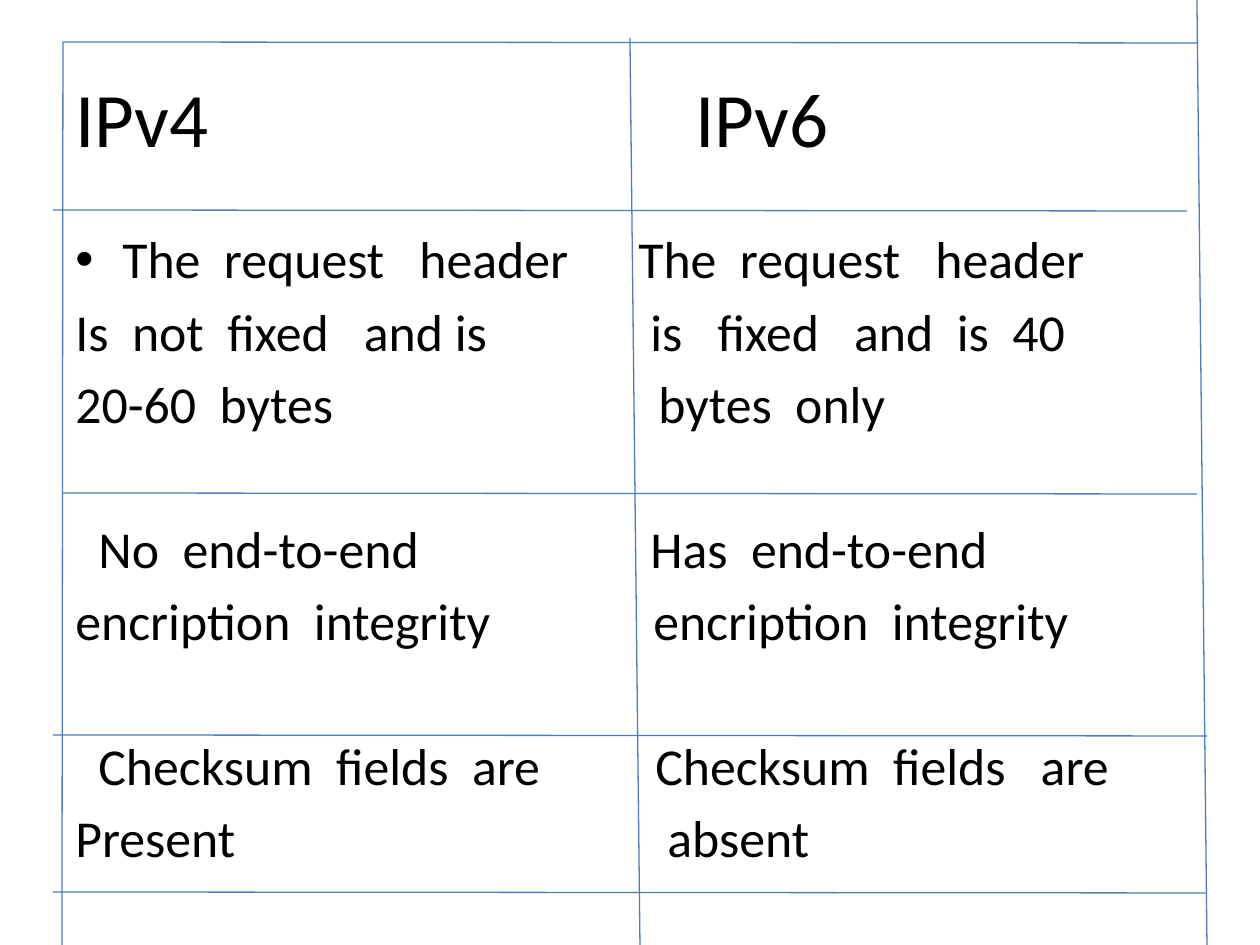
from dataclasses import dataclass

from lxml.etree import SubElement
from pptx import Presentation
from pptx.dml.color import RGBColor
from pptx.enum.shapes import MSO_CONNECTOR as Connector
from pptx.enum.text import MSO_ANCHOR as Anchor
from pptx.oxml.ns import qn
from pptx.slide import Slide
from pptx.util import Emu, Pt

PIXEL = 914400 // 126
BLACK = RGBColor(0x00, 0x00, 0x00)
RULE_BLUE = RGBColor(0x4B, 0x7E, 0xBC)
FONT = "Calibri"
BULLET_INDENT = 47
LINE_GAP = 5.7
ROW_GAP = 47.3
IPV4_LEFT = 63
IPV6_LEFT = 626
COLUMN_WIDTH = 570
TITLE_TOP, TITLE_HEIGHT, TITLE_SIZE = 38, 157, 44
BODY_TOP, BODY_HEIGHT, BODY_SIZE = 221, 724, 29.6


@dataclass(frozen=True)
class Rule:
    x1: int
    y1: int
    x2: int
    y2: int


@dataclass(frozen=True)
class Line:
    text: str
    indent: int = 0
    space_before: float = LINE_GAP
    bullet: bool = False


@dataclass(frozen=True)
class Column:
    left: int
    title: Line
    lines: tuple[Line, ...]


COLUMNS = (
    Column(IPV4_LEFT, Line("IPv4", space_before=0), (
        Line("The  request   header", space_before=0, bullet=True),
        Line("Is  not  fixed   and is"),
        Line("20-60  bytes"),
        Line("No  end-to-end", 23, ROW_GAP),
        Line("encription  integrity"),
        Line("Checksum  fields  are", 23, ROW_GAP),
        Line("Present"),
    )),
    Column(IPV6_LEFT, Line("IPv6", 57, 0), (
        Line("The  request   header", space_before=0),
        Line("is   fixed   and  is  40", 12),
        Line("bytes  only", 20),
        Line("Has  end-to-end", 12, ROW_GAP),
        Line("encription  integrity", 15),
        Line("Checksum  fields   are", 17, ROW_GAP),
        Line("absent", 29),
    )),
)

RULES = (
    Rule(630, 38, 640, 945),
    Rule(63, 42, 62, 945),
    Rule(1197, 0, 1207, 945),
    Rule(63, 42, 1197, 43),
    Rule(53, 210, 1187, 211),
    Rule(53, 892, 1207, 893),
    Rule(63, 493, 1197, 494),
    Rule(53, 735, 1207, 736),
)


def px(length: int) -> Emu:
    return Emu(length * PIXEL)


def add_text(page: Slide, left: int, top: int, height: int, size: float,
             anchor: Anchor, lines: tuple[Line, ...]) -> None:
    box = page.shapes.add_textbox(px(left), px(top), px(COLUMN_WIDTH), px(height))
    frame = box.text_frame
    frame.word_wrap = True
    frame.vertical_anchor = anchor
    frame.text = "\n".join(line.text for line in lines)
    for para, line in zip(frame.paragraphs, lines):
        para.space_before = Pt(line.space_before)
        properties = para._p.get_or_add_pPr()
        margin = BULLET_INDENT if line.bullet else 0
        properties.set("marL", str(px(margin)))
        properties.set("indent", str(px(line.indent - margin)))
        if line.bullet:
            SubElement(properties, qn("a:buFont"), typeface="Arial")
            SubElement(properties, qn("a:buChar"), char="•")
        for span in para.runs:
            span.font.name = FONT
            span.font.size = Pt(size)
            span.font.color.rgb = BLACK


def add_column(page: Slide, column: Column) -> None:
    add_text(page, column.left, TITLE_TOP, TITLE_HEIGHT, TITLE_SIZE,
             Anchor.MIDDLE, (column.title,))
    add_text(page, column.left, BODY_TOP, BODY_HEIGHT, BODY_SIZE,
             Anchor.TOP, column.lines)


def add_rule(page: Slide, rule: Rule) -> None:
    connector = page.shapes.add_connector(
        Connector.STRAIGHT, px(rule.x1), px(rule.y1), px(rule.x2), px(rule.y2))
    connector.line.color.rgb = RULE_BLUE
    connector.line.width = Pt(0.75)
    SubElement(connector._element.spPr, qn("a:effectLst"))


deck = Presentation()
deck.slide_width, deck.slide_height = px(1260), px(945)
page = deck.slides.add_slide(deck.slide_layouts[6])
for column in COLUMNS:
    add_column(page, column)
for rule in RULES:
    add_rule(page, rule)
deck.save("out.pptx")
